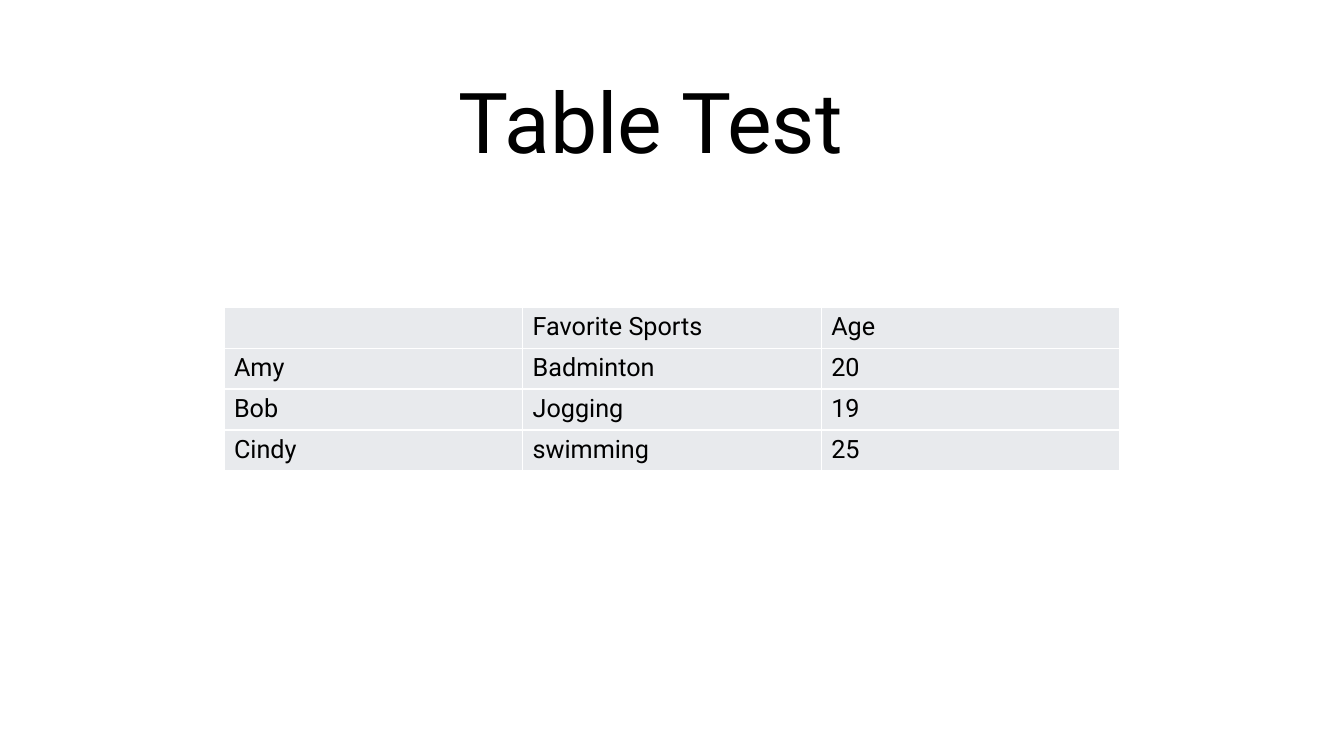
import pptx
import pptx.dml.color
import pptx.enum.text
import pptx.oxml
import pptx.oxml.ns
import pptx.util

Pt = pptx.util.Pt
RGBColor = pptx.dml.color.RGBColor

BLACK = RGBColor(0x00, 0x00, 0x00)
WHITE = RGBColor(0xFF, 0xFF, 0xFF)
GRAY = RGBColor(0xE8, 0xEA, 0xED)

ROWS = [
    ["", "Favorite Sports", "Age"],
    ["Amy", "Badminton", "20"],
    ["Bob", "Jogging", "19"],
    ["Cindy", "swimming", "25"],
]


class Deck:
    font = "Roboto"
    color = BLACK

    def __init__(self, width, height):
        self.prs = pptx.Presentation()
        self.prs.slide_width = Pt(width)
        self.prs.slide_height = Pt(height)
        self.s = self.prs.slides.add_slide(self.prs.slide_layouts[6])

    def style(self, p, size):
        for r in p.runs:
            r.font.name = self.font
            r.font.size = Pt(size)
            r.font.color.rgb = self.color

    def title(self, text, left, top, width, height, size):
        sp = self.s.shapes.add_textbox(Pt(left), Pt(top), Pt(width), Pt(height))
        tf = sp.text_frame
        tf.word_wrap = True
        tf.vertical_anchor = pptx.enum.text.MSO_ANCHOR.BOTTOM
        tf.text = text
        p = tf.paragraphs[0]
        p.alignment = pptx.enum.text.PP_ALIGN.CENTER
        p.line_spacing = 0.9
        self.style(p, size)

    def border(self, cell, color, width):
        tcPr = cell._tc.get_or_add_tcPr()
        for side in ("lnL", "lnR", "lnT", "lnB"):
            tcPr.append(pptx.oxml.parse_xml(
                f'<a:{side} {pptx.oxml.ns.nsdecls("a")} w="{Pt(width)}">'
                f'<a:solidFill><a:srgbClr val="{color}"/></a:solidFill>'
                f'</a:{side}>'))

    def table(self, rows, left, top, width, row_height, size):
        sp = self.s.shapes.add_table(
            len(rows), len(rows[0]), Pt(left), Pt(top),
            Pt(width), Pt(row_height * len(rows)))
        table = sp.table
        table.first_row = False
        table.horz_banding = False
        for i, row in enumerate(rows):
            for j, text in enumerate(row):
                cell = table.cell(i, j)
                cell.text = text
                self.style(cell.text_frame.paragraphs[0], size)
                self.border(cell, WHITE, 1)
                cell.fill.solid()
                cell.fill.fore_color.rgb = GRAY


def main():
    deck = Deck(960, 540)
    deck.title("Table Test", 105, -62, 720, 188, 60)
    deck.table(ROWS, 160, 219.5, 640, 29.2, 18)
    deck.prs.save("out.pptx")


if __name__ == "__main__":
    main()
